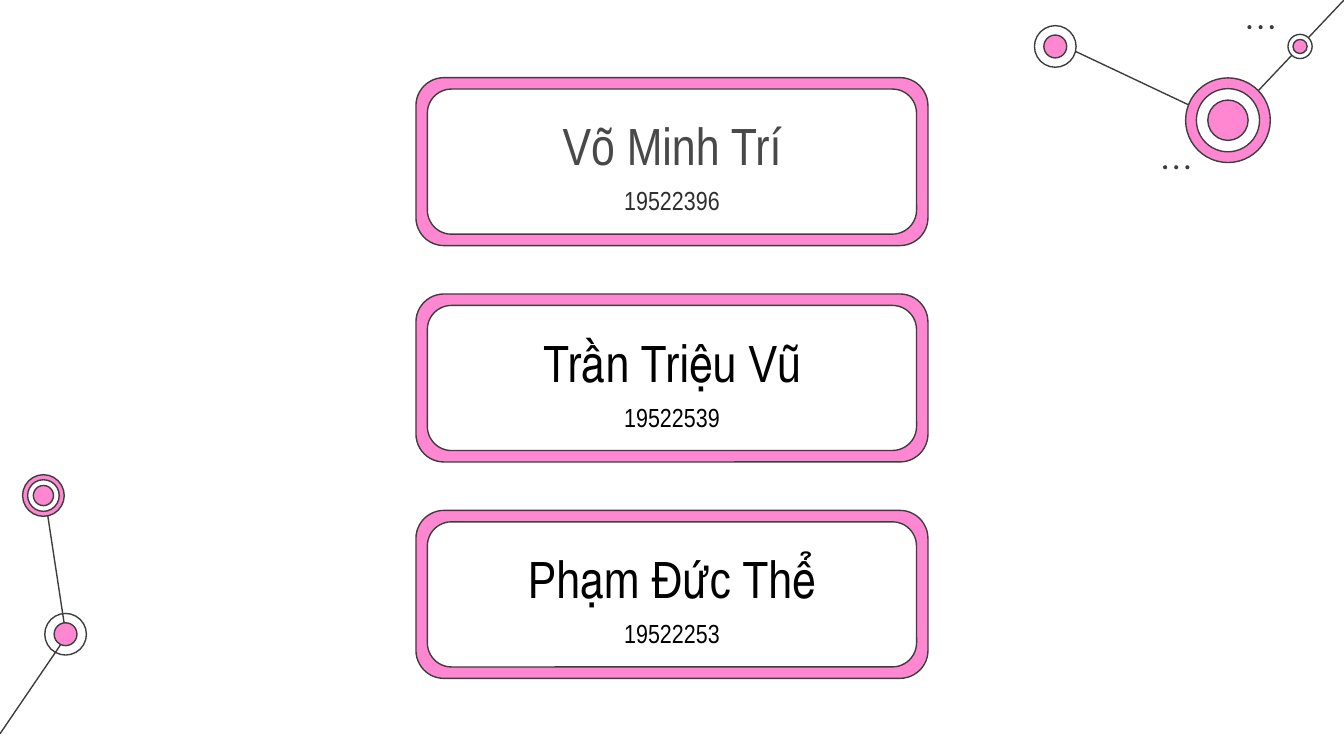
from pptx import Presentation
from pptx.dml.color import RGBColor
from pptx.enum.shapes import MSO_CONNECTOR, MSO_SHAPE
from pptx.enum.text import MSO_ANCHOR, PP_ALIGN
from pptx.oxml.ns import qn
from pptx.util import Inches, Pt
from lxml.etree import SubElement

TEAM = [
    ("Võ Minh Trí", "19522396", "gray", "soot"),
    ("Trần Triệu Vũ", "19522539", "black", "black"),
    ("Phạm Đức Thể", "19522253", "black", "black"),
]
HEX = {"pink": "FF87D1", "white": "FFFFFF", "dark": "3D3D3D",
       "gray": "494949", "soot": "2E2E2E", "black": "000000"}
FONT = "Arial Narrow"
WIDE = Inches(10)
HIGH = WIDE * 9 // 16

LINES = [
    ((4.9, 83.9), (3.3, 65.24)),
    ((0, 97.07), (4.9, 84.27)),
    ((91.4, 16.36), (78.7, 5.69)),
    ((100, 0), (91.4, 16.18)),
]
NODES = [
    ((4.88, 83.9), [(3.1, None), (1.7, "pink")]),
    ((3.23, 65.55), [(3.1, "pink"), (2.35, "white"), (1.5, "pink")]),
    ((91.37, 15.91), [(6.3, "pink"), (4.7, "white"), (3, "pink")]),
    ((78.52, 6.15), [(3.1, "white"), (1.7, "pink")]),
    ((96.73, 6.15), [(1.8, "white"), (1.05, "pink")]),
]
TRIOS = [(93.8, 3.6), (87.52, 22.13)]
DOT, STEP = 0.3, 0.83


def tint(name):
    return RGBColor.from_string(HEX[name])


def spot(x, y):
    return int(WIDE * x / 100), int(HIGH * y / 100)


def draw(kind, box, fill, edge=True):
    form = slide.shapes.add_shape(kind, *(int(n) for n in box))
    form.shadow.inherit = False
    if fill:
        form.fill.solid()
        form.fill.fore_color.rgb = tint(fill)
    else:
        form.fill.background()
    if edge:
        form.line.color.rgb = tint("dark")
        form.line.width = Pt(0.75)
    else:
        form.line.fill.background()


def disc(at, size, fill, edge=True):
    x, y = spot(*at)
    side = WIDE * size / 100
    draw(MSO_SHAPE.OVAL, (x - side / 2, y - side / 2, side, side), fill, edge)


def join(start, end):
    link = slide.shapes.add_connector(MSO_CONNECTOR.STRAIGHT, *spot(*start), *spot(*end))
    link.line.color.rgb = tint("dark")
    link.line.width = Pt(0.75)
    SubElement(link._element.spPr, qn("a:effectLst"))


def write(text, box, size, color):
    frame = slide.shapes.add_textbox(*(int(n) for n in box)).text_frame
    frame.word_wrap = True
    frame.vertical_anchor = MSO_ANCHOR.MIDDLE
    frame.margin_left = frame.margin_right = Inches(0.1)
    frame.margin_top = frame.margin_bottom = Inches(0.1)
    frame.text = text
    line = frame.paragraphs[0]
    line.alignment = PP_ALIGN.CENTER
    font = line.runs[0].font
    font.name, font.size = FONT, Pt(size)
    font.color.rgb = tint(color)


deck = Presentation()
deck.slide_width, deck.slide_height = WIDE, HIGH
slide = deck.slides.add_slide(deck.slide_layouts[6])

for start, end in LINES:
    join(start, end)
for at, rings in NODES:
    for size, fill in rings:
        disc(at, size, fill)
for x, y in TRIOS:
    for turn in (-1, 0, 1):
        disc((x + turn * STEP, y), DOT, "dark", False)

wide, high, gap = WIDE * 0.381, Inches(1.25), Inches(0.36)
rim = Inches(0.085)
left = (WIDE - wide) / 2
first = (HIGH - len(TEAM) * high - (len(TEAM) - 1) * gap) / 2
for row, (name, code, ink, tone) in enumerate(TEAM):
    top = first + row * (high + gap)
    draw(MSO_SHAPE.ROUNDED_RECTANGLE, (left, top, wide, high), "pink")
    draw(MSO_SHAPE.ROUNDED_RECTANGLE,
         (left + rim, top + rim, wide - 2 * rim, high - 2 * rim), "white")
    write(name, (left, top + high * 0.15, wide, high * 0.5), 28, ink)
    write(code, (left, top + high * 0.61, wide, high * 0.24), 14, tone)

deck.save("out.pptx")
